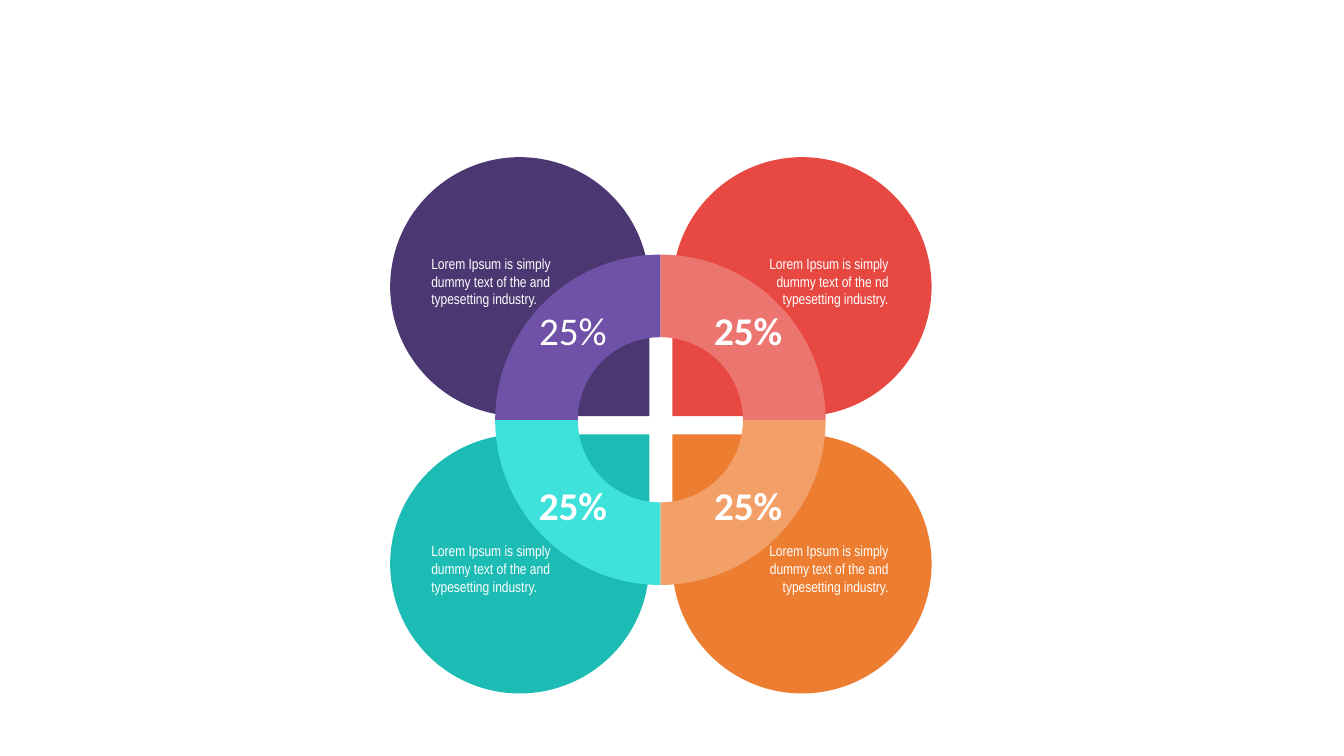
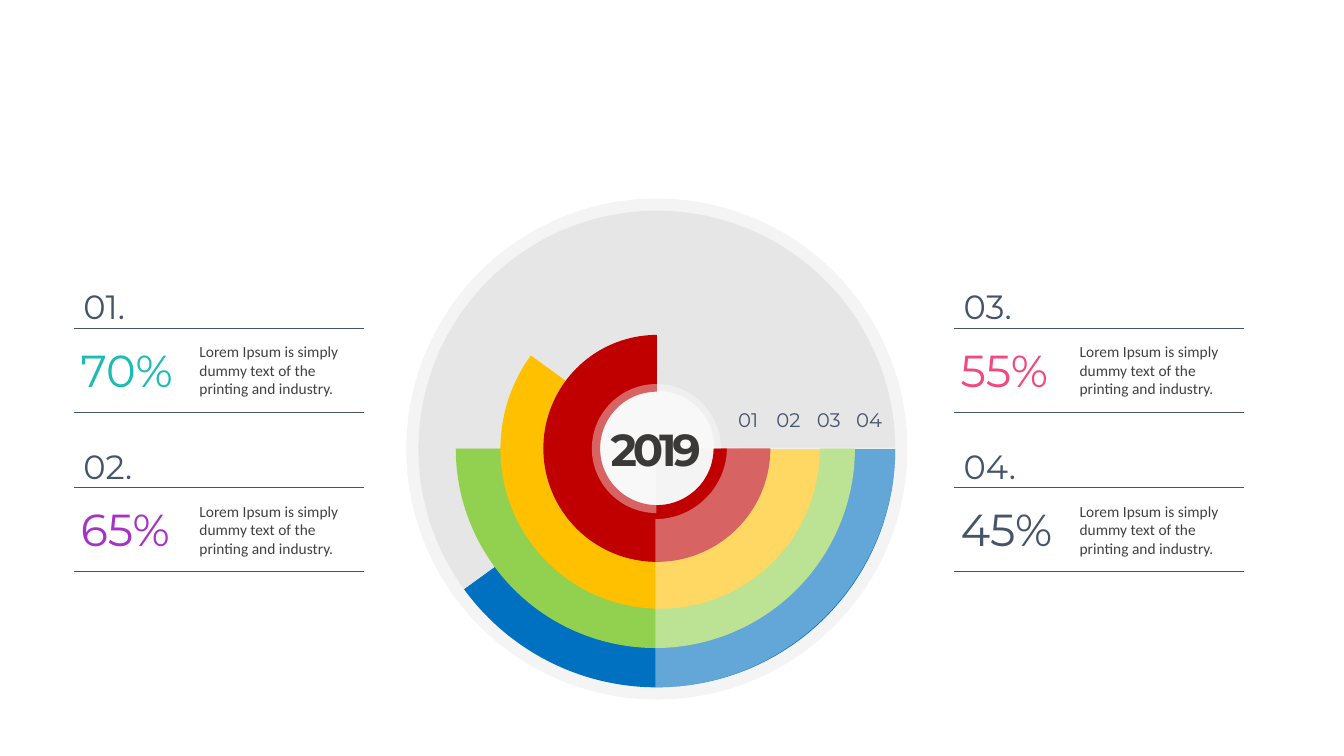
import math
from dataclasses import dataclass

from lxml import etree
from pptx import Presentation
from pptx.chart import data as chart_data
from pptx.dml.color import RGBColor
from pptx.enum import chart as charts, shapes, text
from pptx.oxml import ns
from pptx.util import Inches, Pt


@dataclass(frozen=True)
class Theme:
    white: str = "FFFFFF"
    black: str = "000000"
    slate: str = "44546A"
    body: str = "404040"
    charcoal: str = "3B3838"
    grey: str = "E7E6E6"
    edge: str = "D9D9D9"
    purple: str = "4B3771"
    light_purple: str = "6F52A8"
    red: str = "E74842"
    light_red: str = "ED756F"
    orange: str = "ED7D31"
    light_orange: str = "F2A068"
    teal: str = "1CBBB3"
    light_teal: str = "3EE2DA"
    violet: str = "A632C5"
    pink: str = "F1487F"
    blue: str = "0070C0"
    green: str = "92D050"
    yellow: str = "FFC000"
    crimson: str = "C00000"
    display: str = "Montserrat"
    plain: str = "Calibri"
    narrow: str = "Arial Narrow"
    small_size: float = 10.5
    body_size: float = 11
    tag_size: float = 14
    number_size: float = 24
    label_size: float = 28
    figure_size: float = 32


def add_child(parent, tag, **attributes):
    child = etree.SubElement(parent, ns.qn(tag))
    for name, value in attributes.items():
        child.set(name, str(value))
    return child


def quarter_arcs(center, radius, start, end):
    """Bezier points from start to end, in degrees clockwise from three o'clock."""
    step = 90 if end > start else -90
    pull = math.copysign(0.55, step)

    def point(angle, tangent):
        cosine, sine = math.cos(math.radians(angle)), math.sin(math.radians(angle))
        return (Inches(center[0] + radius * (cosine - tangent * sine)),
                Inches(center[1] + radius * (sine + tangent * cosine)))

    points = [point(start, 0)]
    for angle in range(start, end, step):
        points += [point(angle, pull), point(angle + step, -pull), point(angle + step, 0)]
    return points


class Deck:
    def __init__(self, theme):
        self.theme = theme
        self.presentation = Presentation()
        self.presentation.slide_width = Inches(13.33)
        self.presentation.slide_height = Inches(7.5)
        self.slide = None

    def new_slide(self):
        self.slide = self.presentation.slides.add_slide(self.presentation.slide_layouts[6])

    def paint(self, shape, color, opacity=100):
        shape.shadow.inherit = False
        shape.fill.solid()
        shape.fill.fore_color.rgb = RGBColor.from_string(color)
        shape.line.fill.background()
        if opacity < 100:
            color_element = shape._element.spPr.find(".//" + ns.qn("a:srgbClr"))
            add_child(color_element, "a:alpha", val=opacity * 1000)

    def shape(self, preset, left, top, size, color, opacity=100, flips=()):
        shape = self.slide.shapes.add_shape(
            preset, Inches(left), Inches(top), Inches(size), Inches(size))
        self.paint(shape, color, opacity)
        for flip in flips:
            shape._element.spPr.find(ns.qn("a:xfrm")).set(flip, "1")

    def sector(self, center, inner, outer, start, end, color, opacity):
        """Ring sector, or a pie when inner is zero."""
        outside = quarter_arcs(center, outer, start, end)
        inside = (quarter_arcs(center, inner, end, start) if inner
                  else [tuple(map(Inches, center))])
        builder = self.slide.shapes.build_freeform(*outside[0], scale=1.0)
        builder.add_line_segments(outside[1:] + inside, close=True)
        shape = builder.convert_to_shape()
        segments = shape._element.findall(".//" + ns.qn("a:lnTo"))
        curves = (segments[:len(outside) - 1], segments[len(outside):])
        for curve in curves:
            for index in range(0, len(curve), 3):
                bezier = etree.Element(ns.qn("a:cubicBezTo"))
                curve[index].addprevious(bezier)
                for segment in curve[index:index + 3]:
                    bezier.append(segment[0])
                    segment.getparent().remove(segment)
        self.paint(shape, color, opacity)

    def text(self, left, top, width, height, words, size, font, color,
             align=text.PP_ALIGN.LEFT, wrap=True, bold=False, spacing=None):
        box = self.slide.shapes.add_textbox(
            Inches(left), Inches(top), Inches(width), Inches(height))
        frame = box.text_frame
        frame.word_wrap = wrap
        frame.auto_size = text.MSO_AUTO_SIZE.SHAPE_TO_FIT_TEXT
        paragraph = frame.paragraphs[0]
        paragraph.alignment = align
        run = paragraph.add_run()
        run.text = words
        self.style(run.font, size, font, color, bold)
        if spacing:
            run.font._element.set("spc", str(spacing * 100))

    def style(self, font, size, name, color, bold=False):
        font.size = Pt(size)
        font.name = name
        font.bold = bold
        font.color.rgb = RGBColor.from_string(color)

    def line(self, left, right, top):
        connector = self.slide.shapes.add_connector(
            shapes.MSO_CONNECTOR.STRAIGHT,
            Inches(left), Inches(top), Inches(right), Inches(top))
        connector.line.color.rgb = RGBColor.from_string(self.theme.slate)
        connector.line.width = Pt(0.5)
        add_child(connector._element.spPr, "a:effectLst")

    def doughnut(self, box, values, colors, hole, plot_box=None, start=0,
                 font_size=10, explosion=0, edge=0, number_format="General"):
        """Add a transparent doughnut; plot_box is in fractions of the chart."""
        data = chart_data.CategoryChartData(number_format=number_format)
        data.categories = [str(number + 1) for number in range(len(values))]
        data.add_series("Series 1", values)
        chart = self.slide.shapes.add_chart(
            charts.XL_CHART_TYPE.DOUGHNUT, *map(Inches, box), data).chart
        chart.has_title = False
        chart.has_legend = False
        self.style(chart.font, font_size, self.theme.plain, self.theme.black)
        plot = chart.plots[0]
        plot.vary_by_categories = True
        series = plot.series[0]
        if edge:
            series.format.line.color.rgb = RGBColor.from_string(self.theme.edge)
            series.format.line.width = Pt(edge)
        for index, color in enumerate(colors):
            point_format = series.points[index].format
            point_format.fill.solid()
            point_format.fill.fore_color.rgb = RGBColor.from_string(color)
            point_format.line.fill.background()

        space = chart._chartSpace
        for tag, value in (("c:firstSliceAng", start), ("c:holeSize", hole)):
            space.find(".//" + ns.qn(tag)).set("val", str(value))
        if explosion:
            element = etree.Element(ns.qn("c:explosion"), val=str(explosion))
            space.find(".//" + ns.qn("c:dPt")).addprevious(element)
        area = space.find(".//" + ns.qn("c:plotArea"))
        if plot_box:
            self.place_plot(area, plot_box)
        background = etree.Element(ns.qn("c:spPr"))
        add_child(background, "a:noFill")
        add_child(add_child(background, "a:ln"), "a:noFill")
        space.find(ns.qn("c:chart")).addnext(background)
        add_child(add_child(area, "c:spPr"), "a:noFill")
        return series

    def place_plot(self, area, plot_box):
        for layout in area.findall(ns.qn("c:layout")):
            area.remove(layout)
        layout = etree.Element(ns.qn("c:layout"))
        area.insert(0, layout)
        manual = add_child(layout, "c:manualLayout")
        add_child(manual, "c:layoutTarget", val="inner")
        for tag in ("c:xMode", "c:yMode"):
            add_child(manual, tag, val="edge")
        for tag, value in zip(("c:x", "c:y", "c:w", "c:h"), plot_box):
            add_child(manual, tag, val=value)

    def value_labels(self, series, plain_index, plain_text):
        """Show bold values, with one point labelled in regular weight."""
        theme = self.theme
        labels = series.data_labels
        labels.show_value = True
        labels.number_format = "0%"
        labels.number_format_is_linked = False
        self.style(labels.font, theme.label_size, theme.plain, theme.white, True)
        frame = series.points[plain_index].data_label.text_frame
        run = frame.paragraphs[0].add_run()
        run.text = plain_text
        self.style(run.font, theme.label_size, theme.plain, theme.white)

    def statistic(self, left, top, number, percent, color):
        theme = self.theme
        self.text(left + 1.15, top + 0.56, 1.73, 0.66,
                  "Lorem Ipsum is simply dummy text of the printing and industry.",
                  theme.body_size, theme.plain, theme.body)
        self.text(left - 0.03, top + 0.56, 1.25, 0.64, percent,
                  theme.figure_size, theme.display, color, wrap=False)
        self.text(left, top, 0.76, 0.5, number,
                  theme.number_size, theme.display, theme.slate, wrap=False)
        for offset in (0.47, 1.3):
            self.line(left, left + 2.88, top + offset)


def petals_slide(deck):
    theme = deck.theme
    deck.new_slide()
    for left, top, color, flips in (
            (6.67, 1.56, theme.red, ("flipH", "flipV")),
            (3.87, 1.56, theme.purple, ("flipV",)),
            (6.67, 4.31, theme.orange, ("flipH",)),
            (3.87, 4.31, theme.teal, ())):
        deck.shape(shapes.MSO_SHAPE.TEAR, left, top, 2.57, color, flips=flips)
    series = deck.doughnut(
        (3.74, 2.29, 5.62, 3.75), [0.25] * 4,
        (theme.light_red, theme.light_orange, theme.light_teal, theme.light_purple),
        36, font_size=18, number_format="0%")
    deck.value_labels(series, 3, "25%")
    for left, top, word, align in (
            (4.18, 2.48, "and", text.PP_ALIGN.LEFT),
            (4.18, 5.33, "and", text.PP_ALIGN.LEFT),
            (7.12, 2.48, "nd", text.PP_ALIGN.RIGHT),
            (7.12, 5.33, "and", text.PP_ALIGN.RIGHT)):
        deck.text(left, top, 1.79, 0.63,
                  f"Lorem Ipsum is simply dummy text of the {word} typesetting industry.",
                  theme.small_size, theme.narrow, theme.white, align)


def rings_slide(deck):
    theme = deck.theme
    deck.new_slide()
    deck.shape(shapes.MSO_SHAPE.OVAL, 4.03, 1.97, 4.97, theme.grey, opacity=44)
    for box, share, color, hole, plot_box, explosion, edge in (
            ((4.15, 2.09, 4.73, 4.73), 40, theme.blue, 77, (0, 0, 1, 1), 0, 0.75),
            ((4.52, 2.45, 4, 4), 50, theme.green, 76, (0, 0, 0.99, 1), 0, 0),
            ((4.89, 2.84, 3.25, 3.2), 60, theme.yellow, 71, (0.02, 0.01, 0.98, 0.99), 0, 0.5),
            ((5.36, 3.29, 2.32, 2.31), 75, theme.crimson, 60, (0.01, 0.01, 0.98, 0.98), 1, 0)):
        deck.doughnut(box, (share, 100 - share), (color, theme.grey), hole,
                      plot_box, start=90, explosion=explosion, edge=edge)
    deck.sector((6.51, 4.45), 0, 0.64, 90, 360, theme.white, 39)
    deck.sector((6.5, 4.44), 0.71, 2.38, 0, 90, theme.white, 39)
    for index in range(4):
        deck.text(7.19 + 0.4 * index, 4, 0.46, 0.34, f"0{index + 1}",
                  theme.tag_size, theme.display, theme.slate,
                  text.PP_ALIGN.CENTER, wrap=False)
    deck.text(5.89, 4.13, 1.23, 0.64, "2019", theme.figure_size, theme.display,
              theme.charcoal, text.PP_ALIGN.CENTER, wrap=False, bold=True, spacing=-3)
    for index, (percent, color) in enumerate((
            ("70%", theme.teal), ("65%", theme.violet),
            ("55%", theme.pink), ("45%", theme.slate))):
        column, row = divmod(index, 2)
        deck.statistic(0.73 + 8.73 * column, 2.79 + 1.58 * row,
                       f"0{index + 1}.", percent, color)


def main():
    deck = Deck(Theme())
    petals_slide(deck)
    rings_slide(deck)
    deck.presentation.save("out.pptx")


if __name__ == "__main__":
    main()
